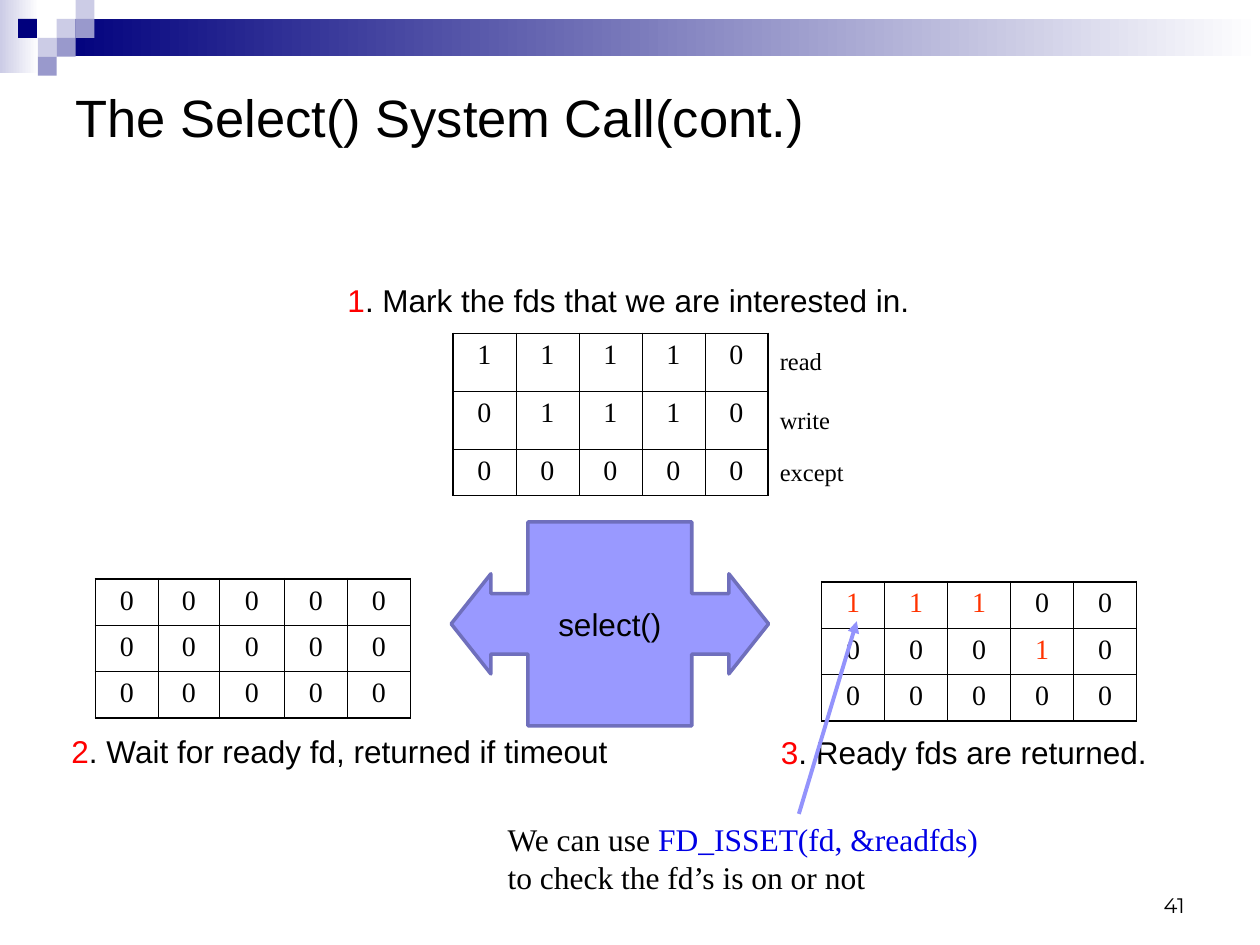
from dataclasses import dataclass

from lxml import etree
from pptx import Presentation
from pptx.dml.color import RGBColor
from pptx.enum.shapes import MSO_CONNECTOR, MSO_SHAPE
from pptx.enum.text import MSO_ANCHOR, PP_ALIGN
from pptx.oxml.ns import qn
from pptx.slide import Slide
from pptx.util import Pt

RECT = MSO_SHAPE.RECTANGLE
STRAIGHT = MSO_CONNECTOR.STRAIGHT
TOP, MIDDLE, BOTTOM = MSO_ANCHOR.TOP, MSO_ANCHOR.MIDDLE, MSO_ANCHOR.BOTTOM
LEFT, CENTER, RIGHT = PP_ALIGN.LEFT, PP_ALIGN.CENTER, PP_ALIGN.RIGHT

COLORS = {
    "black": "000000", "white": "FFFFFF", "navy": "00007D", "pale": "CCCCE6",
    "mid": "9999CC", "red": "FF0000", "ready": "FF3300", "code": "0000E5",
    "body": "9999FF", "edge": "6F6FBC", "arrow": "9393FC",
}
SANS, SERIF, NUMBER = "Arial", "Times New Roman", "Montserrat"
THICK, THIN = 1.08, 0.45


@dataclass
class Block:
    left: float
    top: float
    width: float
    height: float
    color: str
    fade: bool = False


@dataclass
class Label:
    left: float
    top: float
    width: float
    height: float
    runs: list[tuple[str, str]]
    size: float
    font: str = SANS
    align: PP_ALIGN = LEFT
    anchor: MSO_ANCHOR = TOP
    before: float = 0


@dataclass
class Grid:
    left: float
    top: float
    cols: list[float]
    rows: list[float]
    bits: list[str]
    marks: tuple[tuple[int, int], ...] = ()


def rgb(name: str) -> RGBColor:
    return RGBColor.from_string(COLORS[name])


def write(frame, runs, size, font, align=LEFT, before=0) -> None:
    """Fill the first paragraph with (text, colour) runs."""
    para = frame.paragraphs[0]
    para.alignment = align
    para.space_before = Pt(before)
    for text, color in runs:
        run = para.add_run()
        run.text = text
        run.font.size = Pt(size)
        run.font.name = font
        run.font.color.rgb = rgb(color)


def draw_block(slide: Slide, block: Block) -> None:
    shape = slide.shapes.add_shape(
        RECT, Pt(block.left), Pt(block.top), Pt(block.width), Pt(block.height))
    shape.shadow.inherit = False
    shape.line.fill.background()
    if block.fade:
        shape.fill.gradient()
        shape.fill.gradient_angle = 0
        for stop, color in zip(shape.fill.gradient_stops, (block.color, "white")):
            stop.color.rgb = rgb(color)
    else:
        shape.fill.solid()
        shape.fill.fore_color.rgb = rgb(block.color)


def draw_label(slide: Slide, label: Label) -> None:
    box = slide.shapes.add_textbox(
        Pt(label.left), Pt(label.top), Pt(label.width), Pt(label.height))
    frame = box.text_frame
    frame.word_wrap = True
    frame.vertical_anchor = label.anchor
    write(frame, label.runs, label.size, label.font, label.align, label.before)


def set_edge(cell, side: str, width: float) -> None:
    line = etree.SubElement(cell._tc.get_or_add_tcPr(), qn(f"a:{side}"),
                            w=str(Pt(width)))
    fill = etree.SubElement(line, qn("a:solidFill"))
    etree.SubElement(fill, qn("a:srgbClr"), val=COLORS["black"])


def draw_grid(slide: Slide, grid: Grid) -> None:
    """Draw a bit table with a thick frame and thin inner lines."""
    high, wide = len(grid.rows), len(grid.cols)
    table = slide.shapes.add_table(
        high, wide, Pt(grid.left), Pt(grid.top),
        Pt(sum(grid.cols)), Pt(sum(grid.rows))).table
    table.first_row = table.horz_banding = False
    for col, width in zip(table.columns, grid.cols):
        col.width = Pt(width)
    for row, height in zip(table.rows, grid.rows):
        row.height = Pt(height)
    for r, bits in enumerate(grid.bits):
        for c, bit in enumerate(bits):
            cell = table.cell(r, c)
            color = "ready" if (r, c) in grid.marks else "black"
            write(cell.text_frame, [(bit, color)], 16, SERIF, CENTER, 4)
            outer = {"lnL": c == 0, "lnR": c == wide - 1,
                     "lnT": r == 0, "lnB": r == high - 1}
            for side, thick in outer.items():
                set_edge(cell, side, THICK if thick else THIN)
            cell.fill.background()


def draw_call(slide: Slide, x: float, y: float) -> None:
    """Draw the two-way arrow block centred on x, y."""
    upper = [(46.8, -58.3), (46.8, -17.3), (68, -17.3), (68, -28.6)]
    lower = [(dx, -dy) for dx, dy in reversed(upper)]
    right = upper + [(90.7, 0)] + lower
    left = [(-dx, -dy) for dx, dy in right]
    points = [(Pt(x + dx), Pt(y + dy)) for dx, dy in right + left]
    path = slide.shapes.build_freeform(*points[0])
    path.add_line_segments(points[1:], close=True)
    shape = path.convert_to_shape()
    shape.shadow.inherit = False
    shape.fill.solid()
    shape.fill.fore_color.rgb = rgb("body")
    shape.line.color.rgb = rgb("edge")
    shape.line.width = Pt(2)
    shape.text_frame.vertical_anchor = MIDDLE
    write(shape.text_frame, [("select()", "black")], 18, SANS, CENTER)


def draw_arrow(slide: Slide, x1: float, y1: float, x2: float, y2: float) -> None:
    line = slide.shapes.add_connector(STRAIGHT, Pt(x1), Pt(y1), Pt(x2), Pt(y2))
    line.line.color.rgb = rgb("arrow")
    line.line.width = Pt(2.25)
    etree.SubElement(line.line._get_or_add_ln(), qn("a:tailEnd"), type="triangle")
    etree.SubElement(line._element.spPr, qn("a:effectLst"))


def step(left: float, top: float, width: float, num: str, text: str) -> Label:
    return Label(left, top, width, 29, [(num, "red"), (text, "black")], 18,
                 before=11.2)


UNIT = 10.8
TILES = [(32.4, 1, "pale"), (43.2, 0, "pale"), (43.2, 1, "mid"),
         (21.6, 2, "pale"), (10.3, 1, "navy"), (32.4, 2, "mid"),
         (21.6, 3, "mid")]
BLOCKS = [
    Block(0, 0, 22.3, 41.8, "pale", True),
    Block(32.4, UNIT, 687.6, 21.4, "navy", True),
    *(Block(x, row * UNIT, UNIT, UNIT, color) for x, row, color in TILES),
]
EVEN, LOW = [36] * 5, [26.5] * 3
GRIDS = [
    Grid(258.8, 190.6, EVEN, [33, 33, 26.5], ["11110", "01110", "00000"]),
    Grid(54.5, 330.7, [36, 34.8, 37.2, 36, 36], LOW, ["00000"] * 3),
    Grid(469.5, 332.4, EVEN, LOW, ["11100", "00010", "00000"],
         ((0, 0), (0, 1), (0, 2), (1, 3))),
]
SETS = [("read", 194.4), ("write", 228.2), ("except", 257.8)]
LABELS = [
    Label(516, 491.8, 168, 36, [("41", "black")], 12, NUMBER, RIGHT, BOTTOM),
    step(191.5, 157, 376.5, "1", ". Mark the fds that we are interested in."),
    step(33.8, 414.7, 357, "2", ". Wait for ready fd, returned if timeout"),
    step(439.2, 415.6, 269.3, "3", ". Ready fds are returned."),
    *(Label(438.5, top, 62, 24.5, [(name, "black")], 14, SERIF, before=8.8)
      for name, top in SETS),
    Label(36, 37.5, 648, 58.3, [("The Select() System Call(cont.)", "black")],
          30, anchor=MIDDLE),
    Label(283, 465.1, 291, 83.5,
          [("We can use ", "black"), ("FD_ISSET(fd, &readfds) ", "code"),
           ("to check the fd’s is on or not", "black")], 18, SERIF, before=11.2),
]


def main() -> None:
    deck = Presentation()
    deck.slide_width, deck.slide_height = Pt(720), Pt(540)
    slide = deck.slides.add_slide(deck.slide_layouts[6])
    for block in BLOCKS:
        draw_block(slide, block)
    for grid in GRIDS:
        draw_grid(slide, grid)
    draw_call(slide, 348.5, 356.5)
    for label in LABELS:
        draw_label(slide, label)
    draw_arrow(slide, 456.5, 465.1, 489.6, 355)
    deck.save("out.pptx")


if __name__ == "__main__":
    main()
